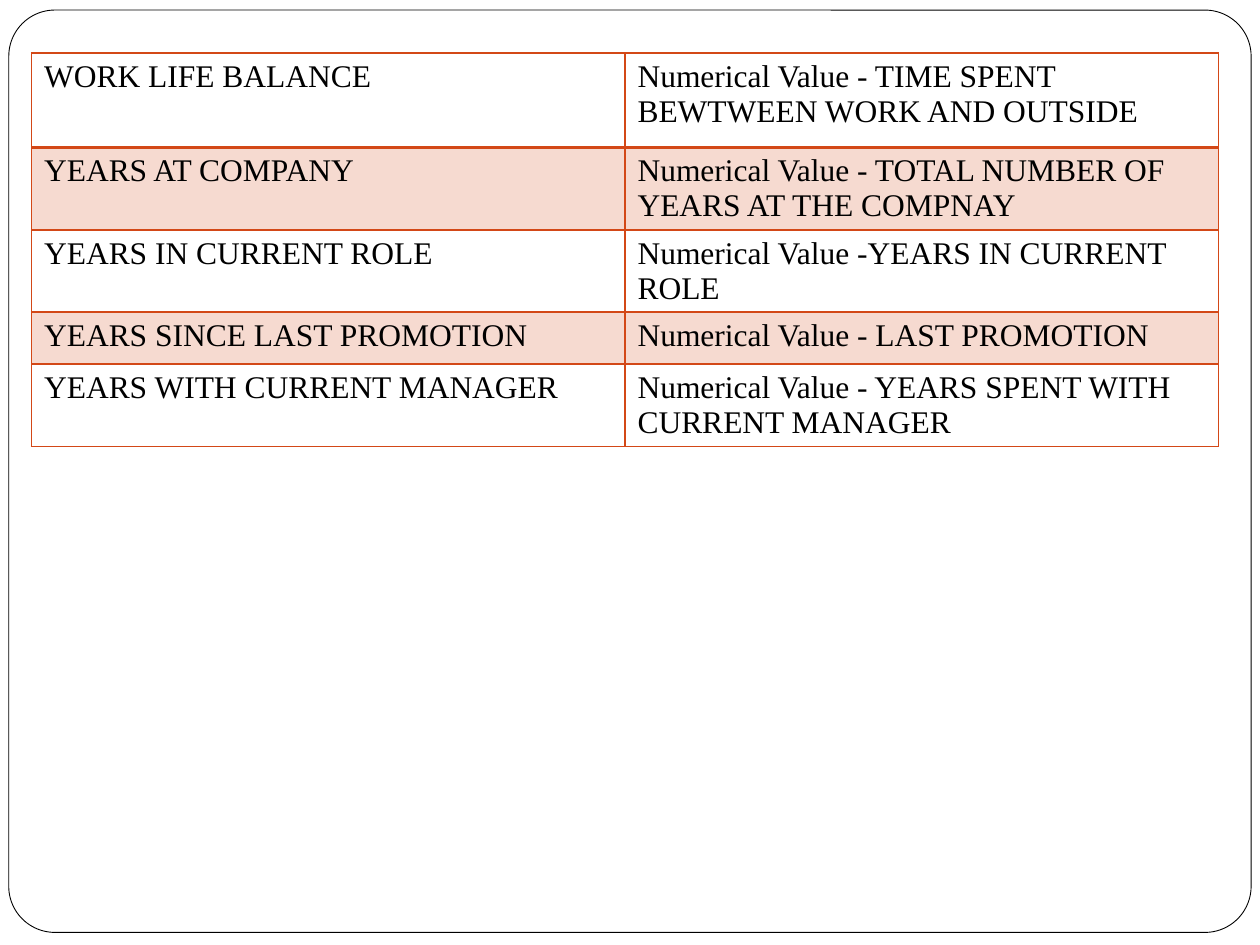
from lxml.etree import SubElement
from pptx import Presentation
from pptx.dml.color import RGBColor
from pptx.enum.shapes import MSO_SHAPE
from pptx.oxml.ns import qn
from pptx.util import Inches, Pt

COLORS = {"white": "FFFFFF", "black": "000000", "accent": "D34817"}
FONT = "Times New Roman"
ROWS = [
    ("WORK LIFE BALANCE", "Numerical Value - TIME SPENT BEWTWEEN WORK AND OUTSIDE"),
    ("YEARS AT COMPANY", "Numerical Value - TOTAL NUMBER OF YEARS AT THE COMPNAY"),
    ("YEARS IN CURRENT ROLE", "Numerical Value -YEARS IN CURRENT ROLE"),
    ("YEARS SINCE LAST PROMOTION", "Numerical Value - LAST PROMOTION"),
    ("YEARS WITH CURRENT MANAGER", "Numerical Value - YEARS SPENT WITH CURRENT MANAGER"),
]


def rgb(name):
    return RGBColor.from_string(COLORS[name])


def set_border(cell, side, points):
    """Draw one side (L, R, T or B) of a cell in the accent colour."""
    properties = cell._tc.get_or_add_tcPr()
    line = SubElement(properties, qn(f"a:ln{side}"), w=str(Pt(points)))
    fill = SubElement(line, qn("a:solidFill"))
    SubElement(fill, qn("a:srgbClr"), val=COLORS["accent"])


presentation = Presentation()
presentation.slide_width = Inches(10)
presentation.slide_height = Inches(7.5)
slide = presentation.slides.add_slide(presentation.slide_layouts[6])

# Rounded page frame
frame = slide.shapes.add_shape(
    MSO_SHAPE.ROUNDED_RECTANGLE, Inches(0.07), Inches(0.08), Inches(9.86), Inches(7.32)
)
frame.adjustments[0] = 0.05
frame.shadow.inherit = False
frame.fill.solid()
frame.fill.fore_color.rgb = rgb("white")
frame.line.color.rgb = rgb("black")
frame.line.width = Pt(0.5)

# Table of variables and their meaning
table = slide.shapes.add_table(
    len(ROWS), 2, Inches(0.25), Inches(0.42), Inches(9.42), Inches(2.39)
).table
table.first_row = False
table.horz_banding = False
for column in table.columns:
    column.width = Inches(4.71)

for row_index, texts in enumerate(ROWS):
    table.rows[row_index].height = Inches(0.75 if row_index == 0 else 0.41)
    for column_index, text in enumerate(texts):
        cell = table.cell(row_index, column_index)
        set_border(cell, "L", 1)
        set_border(cell, "R", 1)
        set_border(cell, "T", 2 if row_index == 1 else 1)
        set_border(cell, "B", 2 if row_index == 0 else 1)

        if row_index % 2:
            cell.fill.solid()
            cell.fill.fore_color.rgb = rgb("accent")
            color = cell._tc.tcPr.find(qn("a:solidFill")).find(qn("a:srgbClr"))
            SubElement(color, qn("a:alpha"), val="20000")
        else:
            cell.fill.background()

        run = cell.text_frame.paragraphs[0].add_run()
        run.text = text
        run.font.name = FONT
        run.font.size = Pt(18)
        run.font.color.rgb = rgb("black")

presentation.save("out.pptx")
